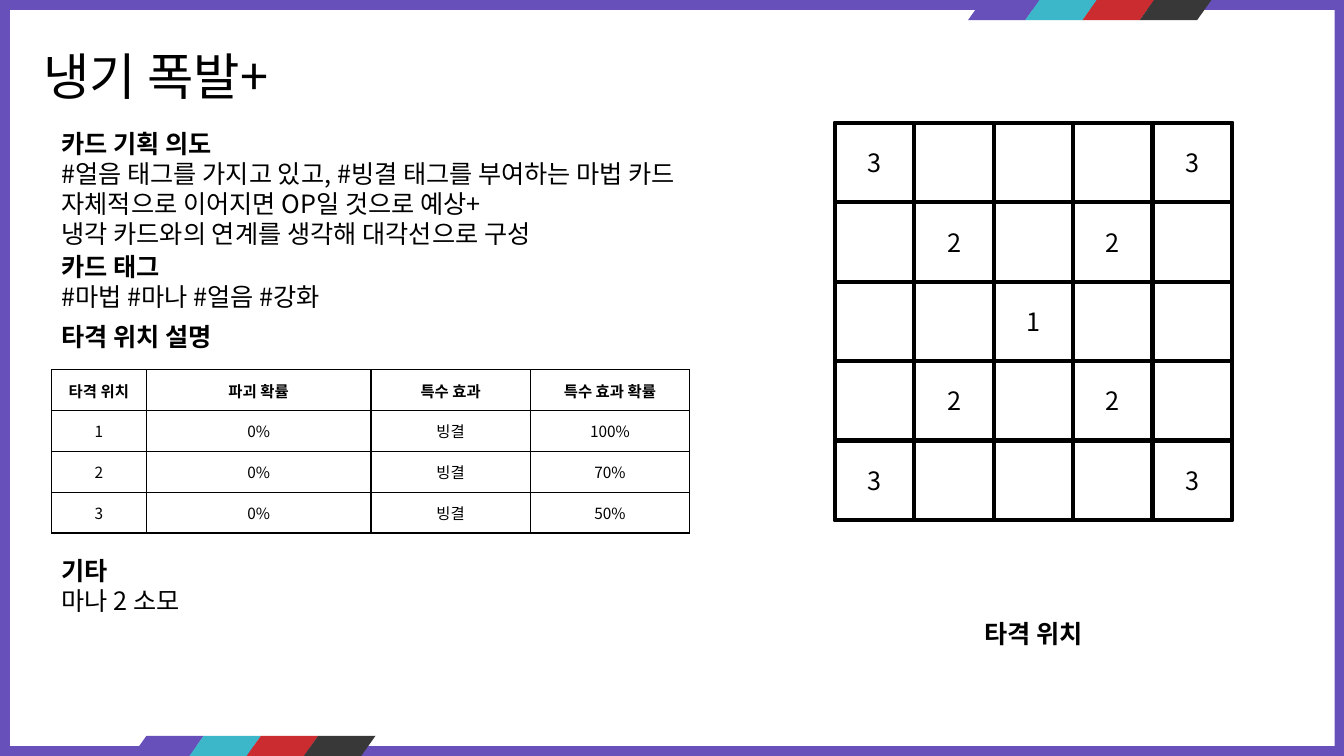
import lxml.etree
import pptx
import pptx.dml.color
import pptx.enum.shapes
import pptx.enum.text
import pptx.oxml.ns
import pptx.util

# Content
TITLE = "냉기 폭발+"
INTENT = ["카드 기획 의도",
          "#얼음 태그를 가지고 있고, #빙결 태그를 부여하는 마법 카드",
          "자체적으로 이어지면 OP일 것으로 예상+",
          "냉각 카드와의 연계를 생각해 대각선으로 구성"]
TAGS = ["카드 태그", "#마법 #마나 #얼음 #강화"]
HITS = ["타격 위치 설명"]
EXTRA = ["기타", "마나 2 소모"]
CAPTION = ["타격 위치"]
EFFECTS = [("타격 위치", "파괴 확률", "특수 효과", "특수 효과 확률"),
           ("1", "0%", "빙결", "100%"),
           ("2", "0%", "빙결", "70%"),
           ("3", "0%", "빙결", "50%")]
BOARD = ["3   3",
         " 2 2 ",
         "  1  ",
         " 2 2 ",
         "3   3"]

THEME = {
    "font": "Noto Sans CJK KR",
    "ink": "000000", "paper": "FFFFFF", "frame": "6750BA",
    "stripes": ["6750BA", "3BB7C9", "CB2C30", "383838"],
    "title": 36, "text": 18, "table": 11,
    "board_line": 3, "table_line": 1,
}

# Layout, in percent of the slide's width and height
WIDTH, HEIGHT = pptx.util.Inches(13.33), pptx.util.Inches(7.5)
LEFT, TOP = 3.83, 16.27
NOTE_W, ONE_LINE, TWO_LINES = 59.34, 5.33, 9.47
TITLE_BOX = (2.48, 5.33, 48.24, TWO_LINES)
INTENT_BOX = (LEFT, TOP, 91.45, 17.47)
NOTES = [(TAGS, (LEFT, 32.53, NOTE_W, TWO_LINES), "LEFT"),
         (HITS, (LEFT, 41.87, NOTE_W, ONE_LINE), "LEFT"),
         (EXTRA, (LEFT, 72.8, NOTE_W, TWO_LINES), "LEFT"),
         (CAPTION, (69.24, 81.07, 15.3, ONE_LINE), "CENTER")]
TABLE_BOX = (LEFT, 48.93, 47.49, 21.6)
COLUMN_SHARES = (94, 223, 158, 158)
BOARD_LEFT, CELL_W, CELL_H = 62.12, 5.91, 10.5
FRAME_BOX = (0.75, 1.33, 98.55, 97.34)
STRIPE_W, STRIPE_H, STRIPE_STEP = 5.33, 2.67, 4.26
STRIPE_STARTS = [(72.02, 0), (9.83, 100 - STRIPE_H)]

SHAPE = pptx.enum.shapes.MSO_SHAPE
ANCHOR = pptx.enum.text.MSO_ANCHOR
ALIGN = pptx.enum.text.PP_ALIGN
qn = pptx.oxml.ns.qn


def emu(x, y, w, h):
    return [round(v * side / 100) for v, side in zip((x, y, w, h), (WIDTH, HEIGHT) * 2)]


def color(name):
    return pptx.dml.color.RGBColor.from_string(THEME.get(name, name))


def write(tf, lines, size, align="LEFT", anchor=ANCHOR.TOP, heading=True):
    """Fill a text frame; the first line is bold when it is a heading."""
    for name, value in {"word_wrap": True, "vertical_anchor": anchor,
                        "auto_size": pptx.enum.text.MSO_AUTO_SIZE.NONE}.items():
        setattr(tf, name, value)
    for i, line in enumerate(lines):
        p = tf.paragraphs[0] if i == 0 else tf.add_paragraph()
        style(p, line, size, align, heading and i == 0)


def style(p, line, size, align, bold):
    p.alignment = ALIGN[align]
    p.space_before = pptx.util.Pt(0)
    r = p.add_run()
    r.text = line
    for name, value in {"name": THEME["font"], "size": pptx.util.Pt(THEME[size]),
                        "bold": bold}.items():
        setattr(r.font, name, value)
    r.font.color.rgb = color("ink")
    ea = lxml.etree.SubElement(r._r.get_or_add_rPr(), qn("a:ea"))
    ea.set("typeface", THEME["font"])


def box(s, kind, at, fill, line=None):
    sp = s.shapes.add_shape(kind, *emu(*at))
    sp.shadow.inherit = False
    sp.fill.solid()
    sp.fill.fore_color.rgb = color(fill)
    if line:
        sp.line.color.rgb = color("ink")
        sp.line.width = pptx.util.Pt(line)
    else:
        sp.line.fill.background()
    return sp


def place(sp, at):
    """Position a placeholder and bring it in front of the frame."""
    for name, value in zip(("left", "top", "width", "height"), emu(*at)):
        setattr(sp, name, value)
    sp.element.getparent().append(sp.element)


def add_frame(s):
    s.background.fill.solid()
    s.background.fill.fore_color.rgb = color("frame")
    box(s, SHAPE.RECTANGLE, FRAME_BOX, "paper")
    for x, y in STRIPE_STARTS:
        for i, fill in enumerate(THEME["stripes"]):
            box(s, SHAPE.FLOWCHART_DATA, (x + i * STRIPE_STEP, y, STRIPE_W, STRIPE_H), fill)


def add_texts(s):
    title, body = s.shapes.title, s.placeholders[1]
    place(title, TITLE_BOX)
    write(title.text_frame, [TITLE], "title", heading=False)
    place(body, INTENT_BOX)
    write(body.text_frame, INTENT, "text")
    for p in body.text_frame.paragraphs:
        pPr = p._p.get_or_add_pPr()
        pPr.set("marL", "0")
        pPr.set("indent", "0")
        lxml.etree.SubElement(pPr, qn("a:buNone"))
    for lines, at, align in NOTES:
        write(s.shapes.add_textbox(*emu(*at)).text_frame, lines, "text", align)


def add_board(s):
    line, n = THEME["board_line"], len(BOARD)
    box(s, SHAPE.RECTANGLE, (BOARD_LEFT, TOP, n * CELL_W, n * CELL_H), "paper", line)
    for row, marks in enumerate(BOARD):
        for col, mark in enumerate(marks):
            at = (BOARD_LEFT + col * CELL_W, TOP + row * CELL_H, CELL_W, CELL_H)
            sp = box(s, SHAPE.RECTANGLE, at, "paper", line)
            if mark.strip():
                write(sp.text_frame, [mark], "text", "CENTER", ANCHOR.MIDDLE, heading=False)


def add_borders(cell):
    tcPr = cell._tc.get_or_add_tcPr()
    for side in ("lnL", "lnR", "lnT", "lnB"):
        ln = lxml.etree.SubElement(tcPr, qn("a:" + side))
        ln.set("w", str(pptx.util.Pt(THEME["table_line"])))
        fill = lxml.etree.SubElement(ln, qn("a:solidFill"))
        lxml.etree.SubElement(fill, qn("a:srgbClr")).set("val", THEME["ink"])


def add_effects(s):
    x, y, w, h = emu(*TABLE_BOX)
    table = s.shapes.add_table(len(EFFECTS), len(COLUMN_SHARES), x, y, w, h).table
    table.horz_banding = False
    for column, share in zip(table.columns, COLUMN_SHARES):
        column.width = round(w * share / sum(COLUMN_SHARES))
    for i, values in enumerate(EFFECTS):
        for j, value in enumerate(values):
            cell = table.cell(i, j)
            for side in ("left", "right", "top", "bottom"):
                setattr(cell, "margin_" + side, 0)
            cell.vertical_anchor = ANCHOR.MIDDLE
            add_borders(cell)
            cell.fill.solid()
            cell.fill.fore_color.rgb = color("paper")
            style(cell.text_frame.paragraphs[0], value, "table", "CENTER", i == 0)


def main():
    prs = pptx.Presentation()
    prs.slide_width, prs.slide_height = WIDTH, HEIGHT
    s = prs.slides.add_slide(prs.slide_layouts[1])
    add_frame(s)
    add_texts(s)
    add_board(s)
    add_effects(s)
    prs.save("out.pptx")


if __name__ == "__main__":
    main()
